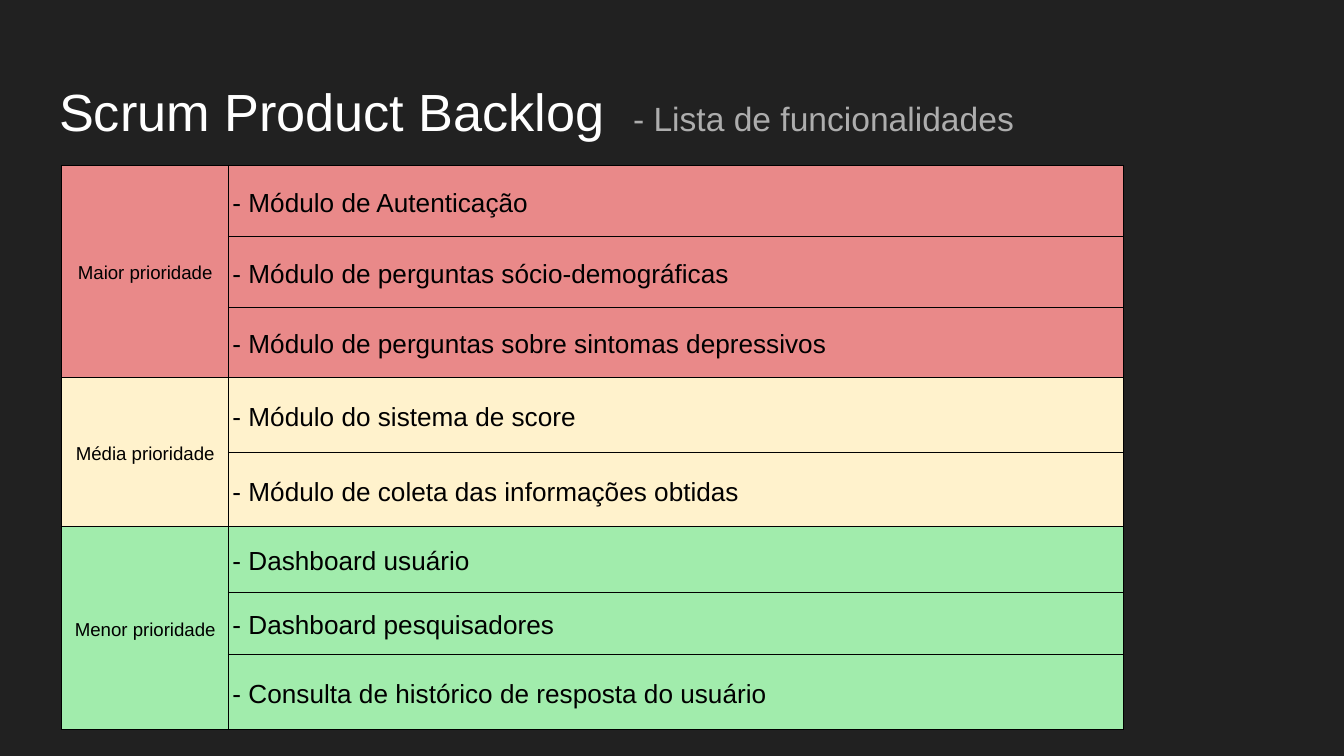
from lxml.etree import SubElement
from pptx import Presentation
from pptx.dml.color import RGBColor
from pptx.enum.text import MSO_ANCHOR, MSO_AUTO_SIZE, PP_ALIGN
from pptx.oxml.ns import qn
from pptx.util import Inches, Pt

DARK = RGBColor(0x21, 0x21, 0x21)
WHITE = RGBColor(0xFF, 0xFF, 0xFF)
GRAY = RGBColor(0xAD, 0xAD, 0xAD)
BLACK = RGBColor(0, 0, 0)
RED = RGBColor(0xE9, 0x89, 0x89)
CREAM = RGBColor(0xFF, 0xF2, 0xCC)
GREEN = RGBColor(0xA1, 0xEC, 0xAC)

TITLE = "Scrum Product Backlog"
NOTE = "- Lista de funcionalidades"
GROUPS = [
    ("Maior prioridade", RED, [
        ("- Módulo de Autenticação", 0.53),
        ("- Módulo de perguntas sócio-demográficas", 0.53),
        ("- Módulo de perguntas sobre sintomas depressivos", 0.52),
    ]),
    ("Média prioridade", CREAM, [
        ("- Módulo do sistema de score", 0.56),
        ("- Módulo de coleta das informações obtidas", 0.55),
    ]),
    ("Menor prioridade", GREEN, [
        ("- Dashboard usuário", 0.49),
        ("- Dashboard pesquisadores", 0.46),
        ("- Consulta de histórico de resposta do usuário", 0.56),
    ]),
]
COLS = [1.24, 6.66]


def write(para, text, size=14, color=BLACK, align=PP_ALIGN.LEFT, space=1.0):
    para.alignment = align
    para.line_spacing = space
    run = para.add_run()
    run.text = text
    run.font.name = "Arial"
    run.font.size = Pt(size)
    run.font.color.rgb = color


def set_tab(para, left):
    tabs = SubElement(para._p.get_or_add_pPr(), qn("a:tabLst"))
    SubElement(tabs, qn("a:tab"), pos=str(Inches(left)), algn="l")


def style(cell, color):
    cell.margin_left = cell.margin_right = Inches(0.03)
    cell.margin_top = cell.margin_bottom = Inches(0.02)
    cell.vertical_anchor = MSO_ANCHOR.MIDDLE
    props = cell._tc.get_or_add_tcPr()
    for side in ("lnL", "lnR", "lnT", "lnB"):
        line = SubElement(props, qn(f"a:{side}"), w=str(Pt(0.75)))
        paint = SubElement(line, qn("a:solidFill"))
        SubElement(paint, qn("a:srgbClr"), val=str(BLACK))
    cell.fill.solid()
    cell.fill.fore_color.rgb = color


def add_title(slide):
    title = slide.shapes.title
    title.left, title.top = Inches(0.34), Inches(0.49)
    title.width, title.height = Inches(9.32), Inches(0.63)
    frame = title.text_frame
    frame.word_wrap = True
    frame.auto_size = MSO_AUTO_SIZE.NONE
    frame.vertical_anchor = MSO_ANCHOR.TOP
    frame.margin_left = frame.margin_right = Inches(0.1)
    frame.margin_top = frame.margin_bottom = Inches(0.1)
    para = frame.paragraphs[0]
    set_tab(para, 4.27)
    write(para, TITLE + "\t", size=28, color=WHITE)
    write(para, NOTE, size=18, color=GRAY)


def add_backlog(slide):
    rows = [item for group in GROUPS for item in group[2]]
    high = sum(height for _, height in rows)
    table = slide.shapes.add_table(
        len(rows), len(COLS), Inches(0.46), Inches(1.23),
        Inches(sum(COLS)), Inches(high)).table
    table.first_row = table.horz_banding = False
    for col, width in zip(table.columns, COLS):
        col.width = Inches(width)
    row = 0
    for label, color, items in GROUPS:
        first = table.cell(row, 0)
        first.merge(table.cell(row + len(items) - 1, 0))
        write(first.text_frame.paragraphs[0], label, size=10,
              align=PP_ALIGN.CENTER, space=1.15)
        for text, height in items:
            table.rows[row].height = Inches(height)
            for col in range(len(COLS)):
                style(table.cell(row, col), color)
            write(table.cell(row, 1).text_frame.paragraphs[0], text, space=1.15)
            row += 1


def main():
    deck = Presentation()
    deck.slide_width = Inches(10)
    deck.slide_height = deck.slide_width * 9 // 16
    slide = deck.slides.add_slide(deck.slide_layouts[5])
    slide.background.fill.solid()
    slide.background.fill.fore_color.rgb = DARK
    add_title(slide)
    add_backlog(slide)
    deck.save("out.pptx")


if __name__ == "__main__":
    main()
